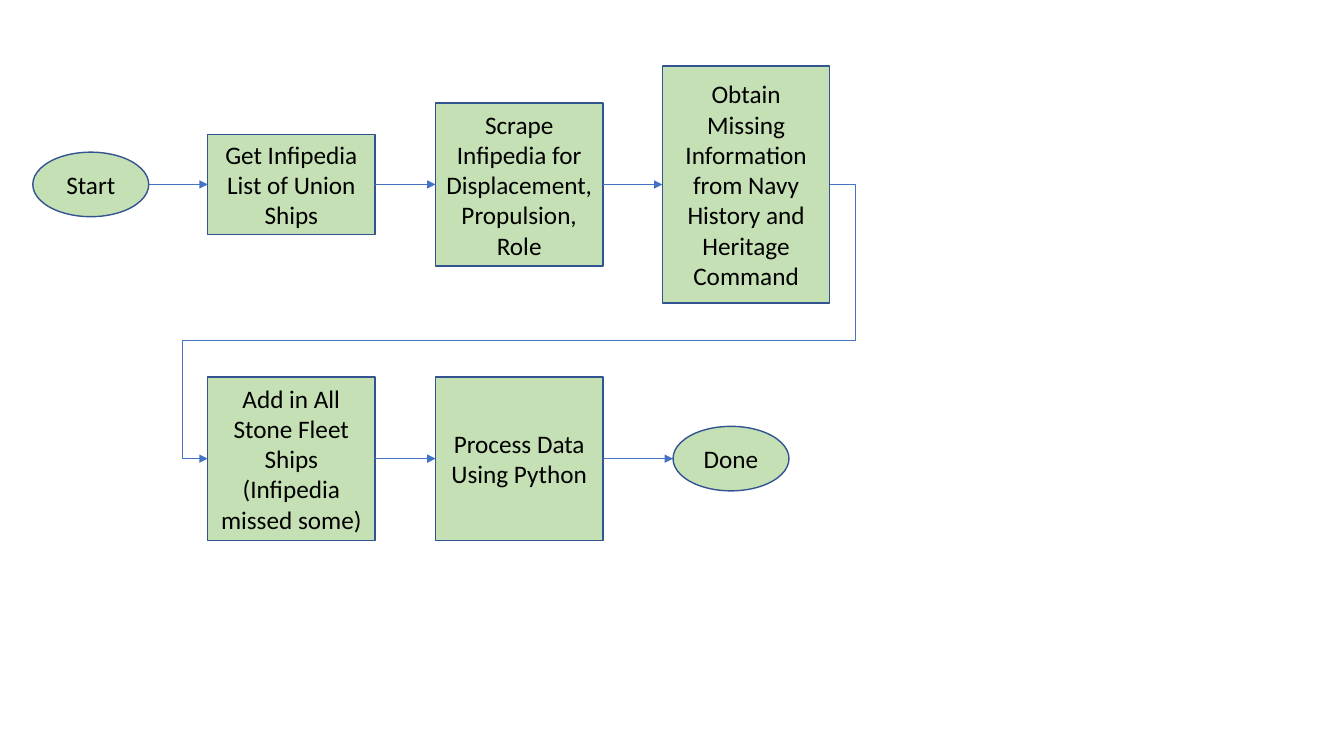
from dataclasses import dataclass

from lxml import etree
from pptx import Presentation
from pptx.dml.color import RGBColor
from pptx.enum.shapes import MSO_CONNECTOR, MSO_SHAPE
from pptx.enum.text import MSO_ANCHOR, PP_ALIGN
from pptx.oxml.ns import qn
from pptx.util import Inches, Pt

BOX, OVAL = MSO_SHAPE.RECTANGLE, MSO_SHAPE.OVAL
STRAIGHT, ELBOW = MSO_CONNECTOR.STRAIGHT, MSO_CONNECTOR.ELBOW
MIDDLE, CENTER = MSO_ANCHOR.MIDDLE, PP_ALIGN.CENTER

COLUMN_CENTERS = (0.9, 2.89, 5.15, 7.4)
DONE_CENTER = 7.25
ROW_CENTERS = (1.83, 4.55)
BOX_WIDTH = 1.66
OVAL_SIZE = (1.15, 0.64)
WRAP_BENDS = {"adj1": -4100, "adj2": 56800, "adj3": 104100}

FLOW = [
    ("Start", OVAL, COLUMN_CENTERS[0], 0, OVAL_SIZE),
    ("Get Infipedia List of Union Ships", BOX, COLUMN_CENTERS[1], 0, (BOX_WIDTH, 0.99)),
    ("Scrape Infipedia for Displacement, Propulsion, Role", BOX,
     COLUMN_CENTERS[2], 0, (BOX_WIDTH, 1.62)),
    ("Obtain Missing Information from Navy History and Heritage Command", BOX,
     COLUMN_CENTERS[3], 0, (BOX_WIDTH, 2.35)),
    ("Add in All Stone Fleet Ships (Infipedia missed some)", BOX,
     COLUMN_CENTERS[1], 1, (BOX_WIDTH, 1.62)),
    ("Process Data Using Python", BOX, COLUMN_CENTERS[2], 1, (BOX_WIDTH, 1.62)),
    ("Done", OVAL, DONE_CENTER, 1, OVAL_SIZE),
]


@dataclass(frozen=True)
class Theme:
    fill: RGBColor = RGBColor.from_string("C5E0B4")
    outline: RGBColor = RGBColor.from_string("325491")
    arrow: RGBColor = RGBColor.from_string("4472C4")
    text: RGBColor = RGBColor.from_string("000000")
    font: str = "Calibri"
    size: Pt = Pt(18)
    outline_width: Pt = Pt(1)
    arrow_width: Pt = Pt(0.5)


THEME = Theme()


def add_step(slide, text, kind, center, row, size):
    width, height = size
    shape = slide.shapes.add_shape(
        kind, Inches(center - width / 2), Inches(ROW_CENTERS[row] - height / 2),
        Inches(width), Inches(height))
    shape.shadow.inherit = False
    shape.fill.solid()
    shape.fill.fore_color.rgb = THEME.fill
    shape.line.color.rgb = THEME.outline
    shape.line.width = THEME.outline_width
    frame = shape.text_frame
    frame.word_wrap = True
    frame.vertical_anchor = MIDDLE
    paragraph = frame.paragraphs[0]
    paragraph.text = text
    paragraph.alignment = CENTER
    paragraph.font.name = THEME.font
    paragraph.font.size = THEME.size
    paragraph.font.color.rgb = THEME.text


def add_arrow(slide, source, target):
    _, _, source_center, source_row, source_size = source
    _, _, target_center, target_row, target_size = target
    wraps = source_row != target_row
    connector = slide.shapes.add_connector(
        ELBOW if wraps else STRAIGHT,
        Inches(source_center + source_size[0] / 2), Inches(ROW_CENTERS[source_row]),
        Inches(target_center - target_size[0] / 2), Inches(ROW_CENTERS[target_row]))
    connector.line.color.rgb = THEME.arrow
    connector.line.width = THEME.arrow_width
    properties = connector._element.spPr
    etree.SubElement(properties.find(qn("a:ln")), qn("a:tailEnd"), type="triangle")
    etree.SubElement(properties, qn("a:effectLst"))
    if wraps:
        geometry = properties.find(qn("a:prstGeom"))
        geometry.set("prst", "bentConnector5")
        adjustments = geometry.find(qn("a:avLst"))
        for name, value in WRAP_BENDS.items():
            etree.SubElement(adjustments, qn("a:gd"), name=name, fmla=f"val {value}")


def main():
    presentation = Presentation()
    presentation.slide_width = Inches(13.33)
    presentation.slide_height = Inches(7.5)
    slide = presentation.slides.add_slide(presentation.slide_layouts[6])
    for step in FLOW:
        add_step(slide, *step)
    for source, target in zip(FLOW, FLOW[1:]):
        add_arrow(slide, source, target)
    presentation.save("out.pptx")


if __name__ == "__main__":
    main()
